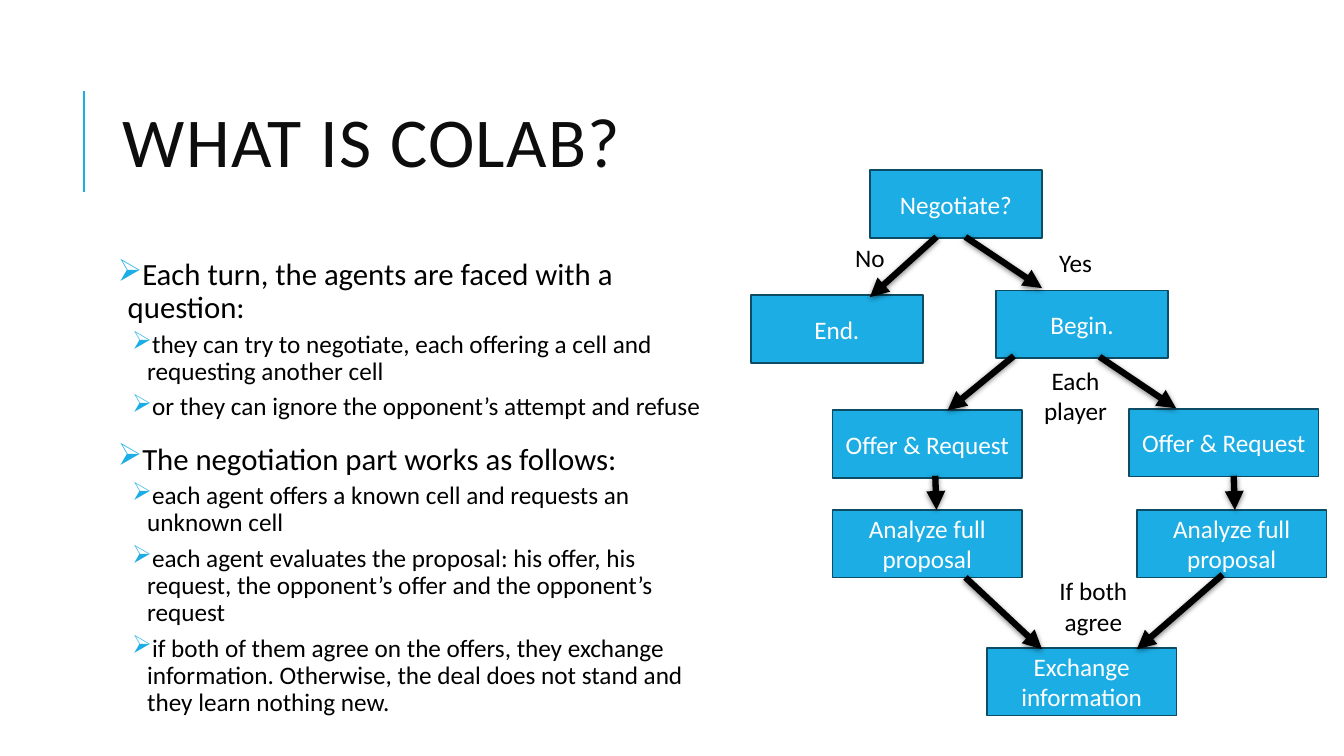
from dataclasses import dataclass

from lxml import etree
from pptx import Presentation
from pptx.dml.color import RGBColor
from pptx.enum.shapes import MSO_CONNECTOR, MSO_SHAPE
from pptx.enum.text import MSO_ANCHOR, MSO_AUTO_SIZE, PP_ALIGN
from pptx.oxml.ns import qn
from pptx.util import Cm, Pt

STRAIGHT = MSO_CONNECTOR.STRAIGHT
PROCESS = MSO_SHAPE.FLOWCHART_PROCESS
TOP, MIDDLE = MSO_ANCHOR.TOP, MSO_ANCHOR.MIDDLE
LEFT, CENTER = PP_ALIGN.LEFT, PP_ALIGN.CENTER
NO_FIT = MSO_AUTO_SIZE.NONE

COLORS = {
    "accent": "1CADE4",
    "outline": "0C4C64",
    "title": "0D0D0D",
    "text": "000000",
    "light": "FFFFFF",
}
FONT = "Calibri"
BOX_HEIGHT = 1.7
NARROW, WIDE = 4.34, 4.78

# Paragraph format and text size for each bullet level
LEVELS = [
    {"size": 22, "margin": 0.25, "indent": -0.25,
     "format": {"level": 0, "line_spacing": 0.9, "space_before": Pt(12), "space_after": Pt(2)}},
    {"size": 18, "margin": 0.74, "indent": -0.38,
     "format": {"level": 1, "line_spacing": 0.9, "space_before": Pt(2), "space_after": Pt(4)}},
]


@dataclass
class Step:
    text: str
    left: float
    top: float
    width: float


@dataclass
class Label:
    text: str
    left: float
    top: float
    width: float
    height: float


@dataclass
class Arrow:
    x1: float
    y1: float
    x2: float
    y2: float


BULLETS = [
    (0, "Each turn, the agents are faced with a question:"),
    (1, "they can try to negotiate, each offering a cell and requesting another cell"),
    (1, "or they can ignore the opponent’s attempt and refuse"),
    (0, "The negotiation part works as follows:"),
    (1, "each agent offers a known cell and requests an unknown cell"),
    (1, "each agent evaluates the proposal: his offer, his request, "
        "the opponent’s offer and the opponent’s request"),
    (1, "if both of them agree on the offers, they exchange information. "
        "Otherwise, the deal does not stand and they learn nothing new."),
]
STEPS = [
    Step("Negotiate?", 21.92, 4.29, NARROW),
    Step("End.", 18.92, 7.44, NARROW),
    Step("Begin.", 25.1, 7.32, NARROW),
    Step("Offer & Request", 20.98, 10.34, WIDE),
    Step("Offer & Request", 28.45, 10.31, WIDE),
    Step("Analyze full proposal", 20.98, 12.85, WIDE),
    Step("Analyze full proposal", 28.65, 12.85, WIDE),
    Step("Exchange information", 24.87, 16.33, WIDE),
]
ARROWS = [
    Arrow(23.6, 5.97, 21.92, 7.49),
    Arrow(24.33, 5.97, 26.26, 7.26),
    Arrow(27.71, 8.99, 29.64, 10.29),
    Arrow(25.55, 8.97, 23.88, 10.34),
    Arrow(23.57, 11.99, 23.6, 12.85),
    Arrow(31.09, 11.99, 31.12, 12.85),
    Arrow(24.33, 14.55, 26.26, 16.36),
    Arrow(30.81, 14.48, 28.65, 16.36),
]
LABELS = [
    Label("No", 21.01, 5.99, 1.83, 1.02),
    Label("Yes", 26.19, 6.1, 1.83, 1.02),
    Label("Each player", 25.53, 9.07, 3.15, 1.8),
    Label("If both agree", 25.98, 14.38, 3.15, 1.8),
]


def rgb(name: str) -> RGBColor:
    return RGBColor.from_string(COLORS[name])


def apply(target, values: dict) -> None:
    for name, value in values.items():
        setattr(target, name, value)


def write(para, text: str, size: float, color: str):
    span = para.add_run()
    span.text = text
    apply(span.font, {"name": FONT, "size": Pt(size), "bold": False})
    span.font.color.rgb = rgb(color)
    return span


def add_line(page, ends: Arrow, color: str, width: float):
    line = page.shapes.add_connector(
        STRAIGHT, Cm(ends.x1), Cm(ends.y1), Cm(ends.x2), Cm(ends.y2))
    line.line.color.rgb = rgb(color)
    line.line.width = Pt(width)
    effects = etree.SubElement(line._element.spPr, qn("a:effectLst"))
    return line, effects


def add_title(page, text: str) -> None:
    box = page.shapes.title
    apply(box, {"left": Cm(2.84), "top": Cm(1.63), "width": Cm(27), "height": Cm(4.17)})
    apply(box.text_frame, {"vertical_anchor": MIDDLE, "word_wrap": True, "auto_size": NO_FIT})
    para = box.text_frame.paragraphs[0]
    apply(para, {"alignment": LEFT, "line_spacing": 0.8})
    span = write(para, text, 50, "title")
    span.font._element.set("spc", "100")


def add_bullets(page) -> None:
    frame = page.shapes.add_textbox(Cm(2.84), Cm(6.4), Cm(15.44), Cm(11.18)).text_frame
    inset = Cm(0.13)
    apply(frame, {"word_wrap": True, "vertical_anchor": TOP, "margin_left": inset,
                  "margin_right": inset, "margin_top": inset, "margin_bottom": inset})
    for index, (level, text) in enumerate(BULLETS):
        style = LEVELS[level]
        para = frame.add_paragraph() if index else frame.paragraphs[0]
        apply(para, style["format"])
        write(para, text, style["size"], "text")
        props = para._p.get_or_add_pPr()
        props.set("marL", str(Cm(style["margin"])))
        props.set("indent", str(Cm(style["indent"])))
        tint = etree.SubElement(props, qn("a:buClr"))
        etree.SubElement(tint, qn("a:srgbClr"), val=COLORS["accent"])
        etree.SubElement(props, qn("a:buChar"), char="➢")


def add_centered(shape, text: str, color: str, anchor) -> None:
    apply(shape.text_frame, {"word_wrap": True, "vertical_anchor": anchor})
    para = shape.text_frame.paragraphs[0]
    para.alignment = CENTER
    write(para, text, 18, color)


def add_step(page, step: Step) -> None:
    box = page.shapes.add_shape(
        PROCESS, Cm(step.left), Cm(step.top), Cm(step.width), Cm(BOX_HEIGHT))
    box.shadow.inherit = False
    box.fill.solid()
    box.fill.fore_color.rgb = rgb("accent")
    box.line.color.rgb = rgb("outline")
    box.line.width = Pt(1.25)
    add_centered(box, step.text, "light", MIDDLE)


def add_arrow(page, arrow: Arrow) -> None:
    line, effects = add_line(page, arrow, "text", 4.5)
    etree.SubElement(line.line._get_or_add_ln(), qn("a:tailEnd"), type="triangle")
    # Soft shadow straight below the arrow
    shadow = etree.SubElement(effects, qn("a:outerShdw"), blurRad=str(Pt(4)),
                              dist=str(Pt(1)), dir="5400000", rotWithShape="0")
    tint = etree.SubElement(shadow, qn("a:srgbClr"), val=COLORS["text"])
    etree.SubElement(tint, qn("a:alpha"), val="50000")


def add_label(page, label: Label) -> None:
    box = page.shapes.add_textbox(
        Cm(label.left), Cm(label.top), Cm(label.width), Cm(label.height))
    add_centered(box, label.text, "text", TOP)


def main() -> None:
    deck = Presentation()
    apply(deck, {"slide_width": Cm(33.87), "slide_height": Cm(19.05)})
    page = deck.slides.add_slide(deck.slide_layouts[5])

    # Title with its accent rule, and the explanation
    add_line(page, Arrow(2.11, 4.83, 2.11, 2.29), "accent", 1.5)
    add_title(page, "WHAT IS COLAB?")
    add_bullets(page)

    # Negotiation flowchart
    for step in STEPS:
        add_step(page, step)
    for arrow in ARROWS:
        add_arrow(page, arrow)
    for label in LABELS:
        add_label(page, label)

    deck.save("out.pptx")


if __name__ == "__main__":
    main()
